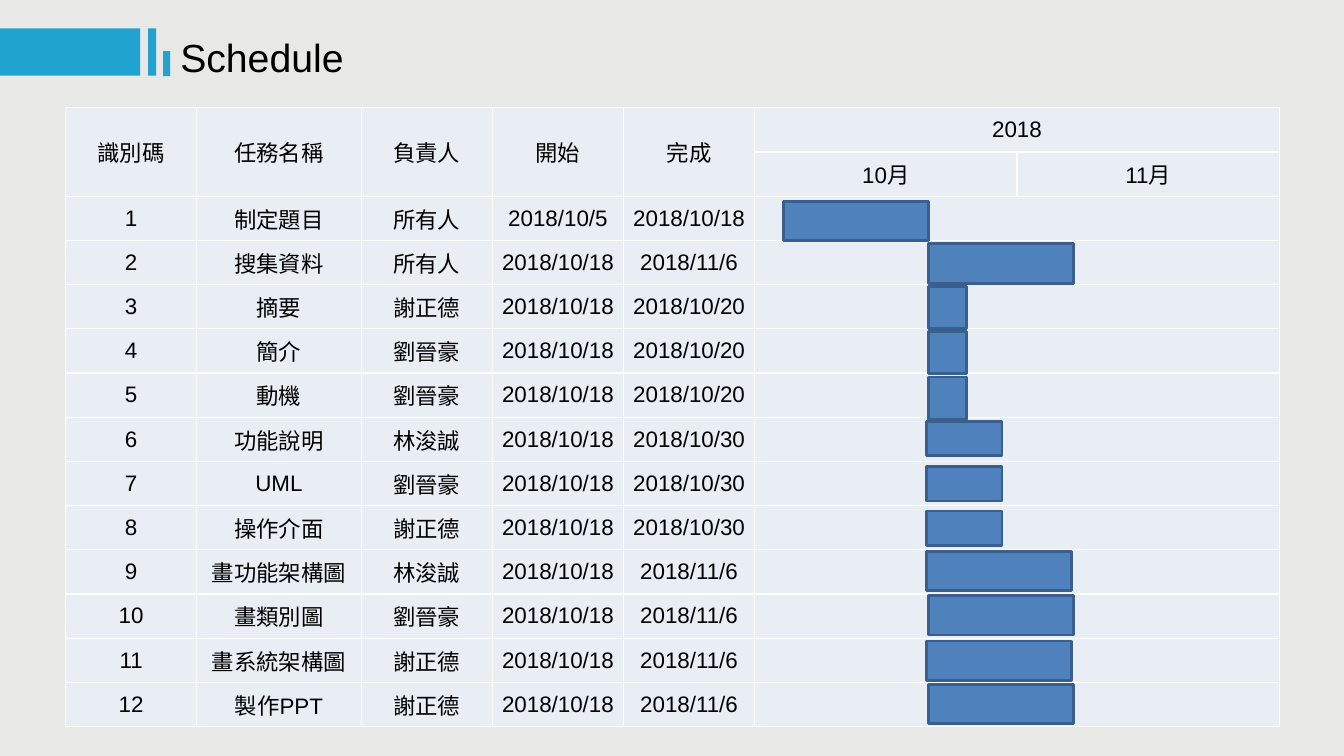
import pptx
import pptx.util
import pptx.dml.color
import pptx.enum.shapes
import pptx.enum.text
import pptx.oxml
import pptx.oxml.ns

Pt = pptx.util.Pt
RGB = pptx.dml.color.RGBColor.from_string

# Content
TITLE = "Schedule"
HEADERS = ["識別碼", "任務名稱", "負責人", "開始", "完成"]
YEAR, MONTHS = "2018", ["10月", "11月"]
# task, owner, start, finish, bar left, bar top
TASKS = [
    ("制定題目", "所有人", "10/5", "10/18", 559.4, 144),
    ("搜集資料", "所有人", "10/18", "11/6", 663.1, 174.2),
    ("摘要", "謝正德", "10/18", "10/20", 663.1, 204.5),
    ("簡介", "劉晉豪", "10/18", "10/20", 663.1, 236.9),
    ("動機", "劉晉豪", "10/18", "10/20", 663.1, 269.3),
    ("功能說明", "林浚誠", "10/18", "10/30", 661.7, 301),
    ("UML", "劉晉豪", "10/18", "10/30", 661.7, 333.4),
    ("操作介面", "謝正德", "10/18", "10/30", 661.7, 365),
    ("畫功能架構圖", "林浚誠", "10/18", "11/6", 661.7, 393.8),
    ("畫類別圖", "劉晉豪", "10/18", "11/6", 663.1, 425.5),
    ("畫系統架構圖", "謝正德", "10/18", "11/6", 661.7, 457.9),
    ("製作PPT", "謝正德", "10/18", "11/6", 663.1, 488.9),
]
# bar width and height by finish date
BAR_SIZES = {"10/18": (103.7, 28.1), "11/6": (103.7, 28.1),
             "10/20": (27.4, 30.2), "10/30": (54, 24.5)}
ACCENTS = [(0, 20.2, 100.1, 33.8), (105.8, 20.2, 5.8, 33.8), (116.6, 36.6, 5, 17.8)]
COLORS = {"bg": "E8E8E6", "accent": "21A3D0", "text": "000000", "cell": "E9EDF4",
          "border": "FFFFFF", "bar": "4F81BD", "bar_line": "3A5F8C"}

# Layout
LEFT, TOP, ROW_H = 46.8, 77, 31.58
COLS = [93.7, 117.5, 93.7, 93.7, 93.7, 187.4, 187.4]
MONTH_COL = len(HEADERS)
CELL_FORMAT = {"margin_left": 0, "margin_right": 0, "margin_top": 0, "margin_bottom": 0,
               "vertical_anchor": pptx.enum.text.MSO_ANCHOR.MIDDLE}


def add_text(tf, text, size):
    r = tf.paragraphs[0].add_run()
    r.text = text
    for name, value in {"name": "Arial", "size": Pt(size)}.items():
        setattr(r.font, name, value)
    r.font.color.rgb = RGB(COLORS["text"])


def add_rect(box, fill, line=None):
    sp = s.shapes.add_shape(pptx.enum.shapes.MSO_SHAPE.RECTANGLE, *map(Pt, box))
    sp.shadow.inherit = False
    sp.fill.solid()
    sp.fill.fore_color.rgb = RGB(COLORS[fill])
    if line:
        sp.line.color.rgb = RGB(COLORS[line])
        sp.line.width = Pt(2)
    else:
        sp.line.fill.background()


def style_cell(cell):
    for name, value in CELL_FORMAT.items():
        setattr(cell, name, value)
    cell.fill.solid()
    cell.fill.fore_color.rgb = RGB(COLORS["cell"])
    for i, side in enumerate("LRTB"):
        border = pptx.oxml.parse_xml(
            f'<a:ln{side} {pptx.oxml.ns.nsdecls("a")} w="{Pt(1)}"><a:solidFill>'
            f'<a:srgbClr val="{COLORS["border"]}"/></a:solidFill></a:ln{side}>')
        cell._tc.get_or_add_tcPr().insert(i, border)


def write_cell(row, col, text):
    tf = table.cell(row, col).text_frame
    tf.paragraphs[0].alignment = pptx.enum.text.PP_ALIGN.CENTER
    add_text(tf, text, 16)


prs = pptx.Presentation()
prs.slide_width, prs.slide_height = Pt(960), Pt(540)
s = prs.slides.add_slide(prs.slide_layouts[6])
s.background.fill.solid()
s.background.fill.fore_color.rgb = RGB(COLORS["bg"])

# Title with accent blocks
for box in ACCENTS:
    add_rect(box, "accent")
tf = s.shapes.add_textbox(Pt(121.7), Pt(20.2), Pt(295.9), Pt(41)).text_frame
tf.word_wrap = True
tf.auto_size = pptx.enum.text.MSO_AUTO_SIZE.SHAPE_TO_FIT_TEXT
add_text(tf, TITLE, 28)

# Table grid
n_rows = len(TASKS) + 2
table = s.shapes.add_table(n_rows, len(COLS), Pt(LEFT), Pt(TOP),
                           Pt(sum(COLS)), Pt(n_rows * ROW_H)).table
for column, width in zip(table.columns, COLS):
    column.width = Pt(width)
for row in table.rows:
    row.height = Pt(ROW_H)
for cell in table.iter_cells():
    style_cell(cell)

# Header rows
for col, header in enumerate(HEADERS):
    table.cell(0, col).merge(table.cell(1, col))
    write_cell(0, col, header)
table.cell(0, MONTH_COL).merge(table.cell(0, MONTH_COL + 1))
write_cell(0, MONTH_COL, YEAR)
for col, month in enumerate(MONTHS, MONTH_COL):
    write_cell(1, col, month)

# Task rows and their bars
for number, (task, owner, start, finish, left, top) in enumerate(TASKS, 1):
    row = number + 1
    values = [str(number), task, owner, f"{YEAR}/{start}", f"{YEAR}/{finish}"]
    for col, value in enumerate(values):
        write_cell(row, col, value)
    table.cell(row, MONTH_COL).merge(table.cell(row, MONTH_COL + 1))
    add_rect((left, top, *BAR_SIZES[finish]), "bar", "bar_line")

prs.save("out.pptx")
